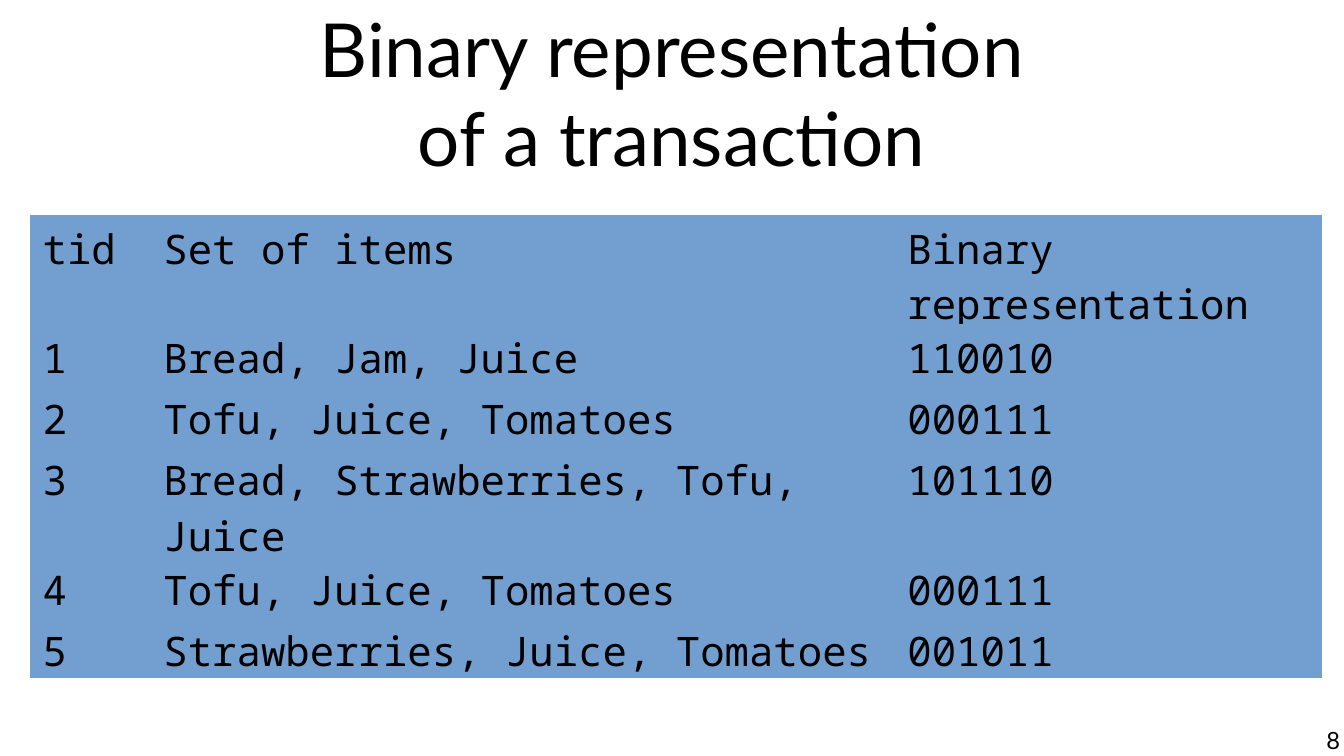
from pptx import Presentation
from pptx.dml.color import RGBColor
from pptx.enum.text import MSO_ANCHOR, PP_ALIGN
from pptx.oxml.ns import qn
from pptx.util import Pt
from lxml.etree import SubElement

BLACK = RGBColor(0x00, 0x00, 0x00)
BLUE = RGBColor(0x72, 0x9F, 0xCF)
SLIDE_WIDTH, SLIDE_HEIGHT = 793.44, 446.4

TRANSACTIONS = [
    ("tid", "Set of items", "Binary representation"),
    ("1", "Bread, Jam, Juice", "110010"),
    ("2", "Tofu, Juice, Tomatoes", "000111"),
    ("3", "Bread, Strawberries, Tofu, Juice", "101110"),
    ("4", "Tofu, Juice, Tomatoes", "000111"),
    ("5", "Strawberries, Juice, Tomatoes", "001011"),
]
COLUMN_SHARES = (0.0935, 0.576, 0.3305)
ONE_LINE, TWO_LINES = 35.3, 63.4
ROW_HEIGHTS = (TWO_LINES, ONE_LINE, ONE_LINE, TWO_LINES, ONE_LINE, ONE_LINE)


def apply(target, values):
    for name, value in values.items():
        setattr(target, name, value)


def write(paragraph, text, size, face):
    paragraph.text = text
    apply(paragraph.font, {"size": Pt(size), "name": face})
    paragraph.font.color.rgb = BLACK


def add_label(slide, box, text, size, align, anchor):
    frame = slide.shapes.add_textbox(*map(Pt, box)).text_frame
    apply(frame, {"word_wrap": True, "vertical_anchor": anchor,
                  "margin_left": 0, "margin_right": 0,
                  "margin_top": 0, "margin_bottom": 0})
    paragraph = frame.paragraphs[0]
    paragraph.alignment = align
    write(paragraph, text, size, "Lato")


def format_cell(cell, text):
    apply(cell, {"margin_left": Pt(7.2), "margin_right": Pt(7.2),
                 "margin_top": Pt(3.6), "margin_bottom": Pt(3.6)})
    properties = cell._tc.get_or_add_tcPr()
    for side in ("a:lnL", "a:lnR", "a:lnT", "a:lnB"):
        SubElement(SubElement(properties, qn(side)), qn("a:noFill"))
    cell.fill.solid()
    cell.fill.fore_color.rgb = BLUE
    write(cell.text_frame.paragraphs[0], text, 24, "Noto Sans Mono")


def add_transactions(slide, left, top, width):
    table = slide.shapes.add_table(
        len(TRANSACTIONS), len(COLUMN_SHARES),
        Pt(left), Pt(top), Pt(width), Pt(sum(ROW_HEIGHTS))).table
    apply(table, {"first_row": False, "horz_banding": False})
    for column, share in zip(table.columns, COLUMN_SHARES):
        column.width = Pt(width * share)
    for row, height, transaction in zip(table.rows, ROW_HEIGHTS, TRANSACTIONS):
        row.height = Pt(height)
        for cell, text in zip(row.cells, transaction):
            format_cell(cell, text)


def main():
    presentation = Presentation()
    apply(presentation, {"slide_width": Pt(SLIDE_WIDTH),
                         "slide_height": Pt(SLIDE_HEIGHT)})
    slide = presentation.slides.add_slide(presentation.slide_layouts[6])
    add_label(slide, (39.6, -5.8, 714.2, 120.2),
              "Binary representation\nof a transaction",
              44, PP_ALIGN.CENTER, MSO_ANCHOR.MIDDLE)
    add_transactions(slide, 18, 126.7, 762.5)
    add_label(slide, (606.2, 428.4, 185, 18), "8",
              14, PP_ALIGN.RIGHT, MSO_ANCHOR.TOP)
    presentation.save("out.pptx")


if __name__ == "__main__":
    main()
